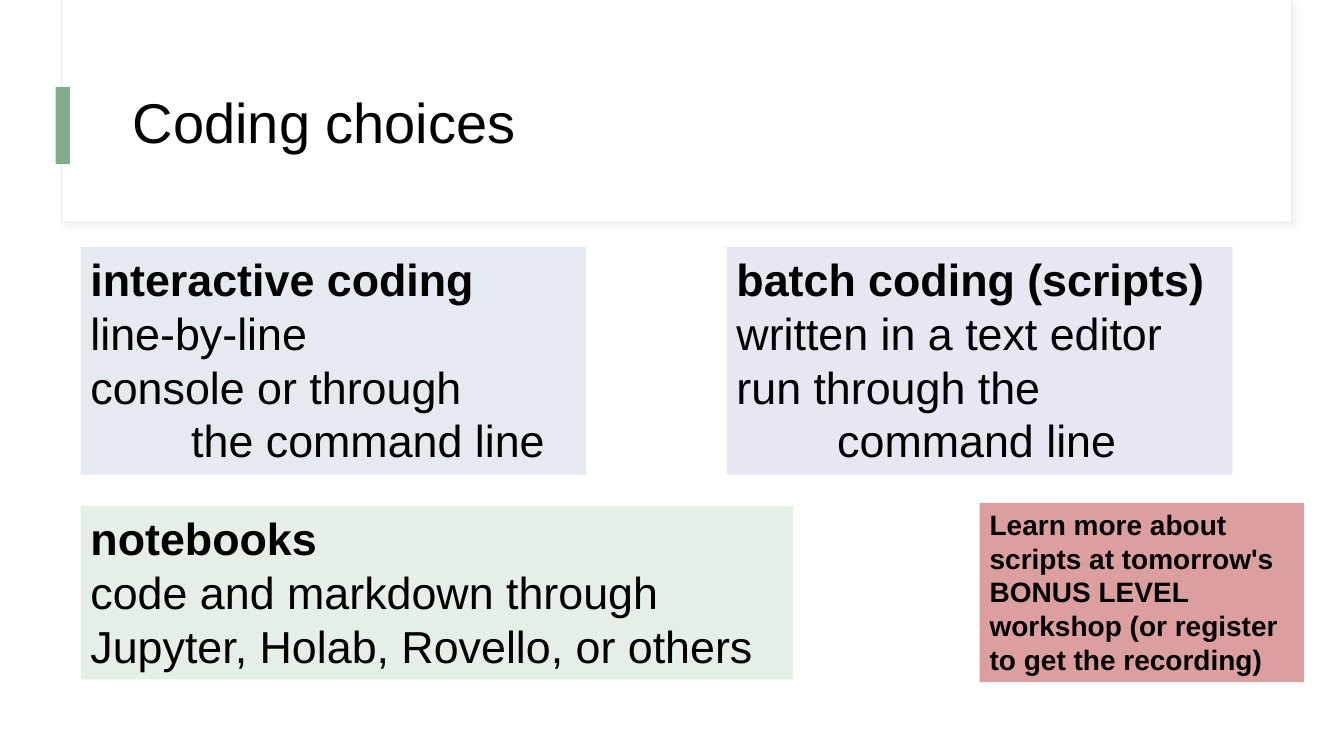
import pptx
import pptx.dml.color
import pptx.enum.shapes
import pptx.enum.text
import pptx.oxml
import pptx.oxml.ns
import pptx.util
from pptx.util import Cm

FONT = "Arial"
BLACK = "000000"
LEFT_EDGE = 2.03
TOP_ROW = 6.22
CARD_WIDTH = 12.75
CARD_HEIGHT = 5.74
TAB_INDENT = Cm(2.54)


def colour(hex_text):
    return pptx.dml.color.RGBColor.from_string(hex_text)


def add_panel(slide, left, top, width, height, fill, border=None):
    """Plain rectangle, with lengths in centimetres."""
    panel = slide.shapes.add_shape(
        pptx.enum.shapes.MSO_SHAPE.RECTANGLE,
        Cm(left), Cm(top), Cm(width), Cm(height))
    panel.shadow.inherit = False
    panel.fill.solid()
    panel.fill.fore_color.rgb = colour(fill)
    if border:
        panel.line.color.rgb = colour(border)
        panel.line.width = pptx.util.Pt(0.75)
    else:
        panel.line.fill.background()
    return panel


def add_soft_shadow(panel):
    effects = panel._element.spPr.find(pptx.oxml.ns.qn("a:effectLst"))
    effects.append(pptx.oxml.parse_xml(
        f'<a:outerShdw {pptx.oxml.ns.nsdecls("a")} blurRad="50800" '
        'dist="38100" dir="2700000" algn="tl" rotWithShape="0">'
        '<a:srgbClr val="D9D9D9"><a:alpha val="30000"/></a:srgbClr>'
        '</a:outerShdw>'))


def set_opacity(panel, percent):
    fill_colour = panel._element.spPr.find(
        pptx.oxml.ns.qn("a:solidFill")).find(pptx.oxml.ns.qn("a:srgbClr"))
    fill_colour.append(pptx.oxml.parse_xml(
        f'<a:alpha {pptx.oxml.ns.nsdecls("a")} val="{percent * 1000}"/>'))


def write_line(paragraph, text, size, bold=False, indent=0):
    paragraph.alignment = pptx.enum.text.PP_ALIGN.LEFT
    if indent:
        paragraph._p.get_or_add_pPr().set("marL", str(int(indent)))
    run = paragraph.add_run()
    run.text = text
    run.font.name = FONT
    run.font.size = pptx.util.Pt(size)
    run.font.bold = bold
    run.font.color.rgb = colour(BLACK)


def add_card(slide, left, top, width, height, fill, heading,
             details=(), indented=None, size=32):
    """Filled box: a bold heading, plain lines, then an indented line."""
    card = add_panel(slide, left, top, width, height, fill)
    frame = card.text_frame
    frame.word_wrap = True
    frame.vertical_anchor = pptx.enum.text.MSO_ANCHOR.TOP
    frame.auto_size = pptx.enum.text.MSO_AUTO_SIZE.SHAPE_TO_FIT_TEXT
    write_line(frame.paragraphs[0], heading, size, bold=True)
    for detail in details:
        write_line(frame.add_paragraph(), detail, size)
    if indented:
        write_line(frame.add_paragraph(), indented, size, indent=TAB_INDENT)
    return card


def add_title(slide, text):
    title = slide.shapes.add_textbox(Cm(3.1), Cm(1.52), Cm(28.24), Cm(3.28))
    frame = title.text_frame
    frame.word_wrap = True
    frame.vertical_anchor = pptx.enum.text.MSO_ANCHOR.MIDDLE
    frame.paragraphs[0].line_spacing = 0.9
    write_line(frame.paragraphs[0], text, 40)


def main():
    deck = pptx.Presentation()
    deck.slide_width, deck.slide_height = Cm(33.87), Cm(19.05)
    slide = deck.slides.add_slide(deck.slide_layouts[6])

    # Header band with its accent bar
    header = add_panel(slide, 1.55, 0, 31.01, 5.61, "FFFFFF", border="E5EAF0")
    add_soft_shadow(header)
    add_panel(slide, 1.4, 2.19, 0.36, 1.95, "82AB8D")
    add_title(slide, "Coding choices")

    # Two ways of running code, side by side
    add_card(slide, LEFT_EDGE, TOP_ROW, CARD_WIDTH, CARD_HEIGHT, "E5EAF0",
             "interactive coding", ["line-by-line", "console or through"],
             "the command line")
    add_card(slide, 18.31, TOP_ROW, CARD_WIDTH, CARD_HEIGHT, "E9E5F1",
             "batch coding (scripts)",
             ["written in a text editor", "run through the"],
             "command line")

    # Notebooks
    add_card(slide, LEFT_EDGE, 12.75, 17.96, 4.37, "E6EEE8", "notebooks",
             ["code and markdown through Jupyter, Holab, Rovello, or others"])

    # Workshop notice
    notice = add_card(
        slide, 24.69, 12.67, 8.18, 4.52, "A50000",
        "Learn more about scripts at tomorrow's BONUS LEVEL workshop "
        "(or register to get the recording)", size=20)
    set_opacity(notice, 38)

    deck.save("out.pptx")


if __name__ == "__main__":
    main()
